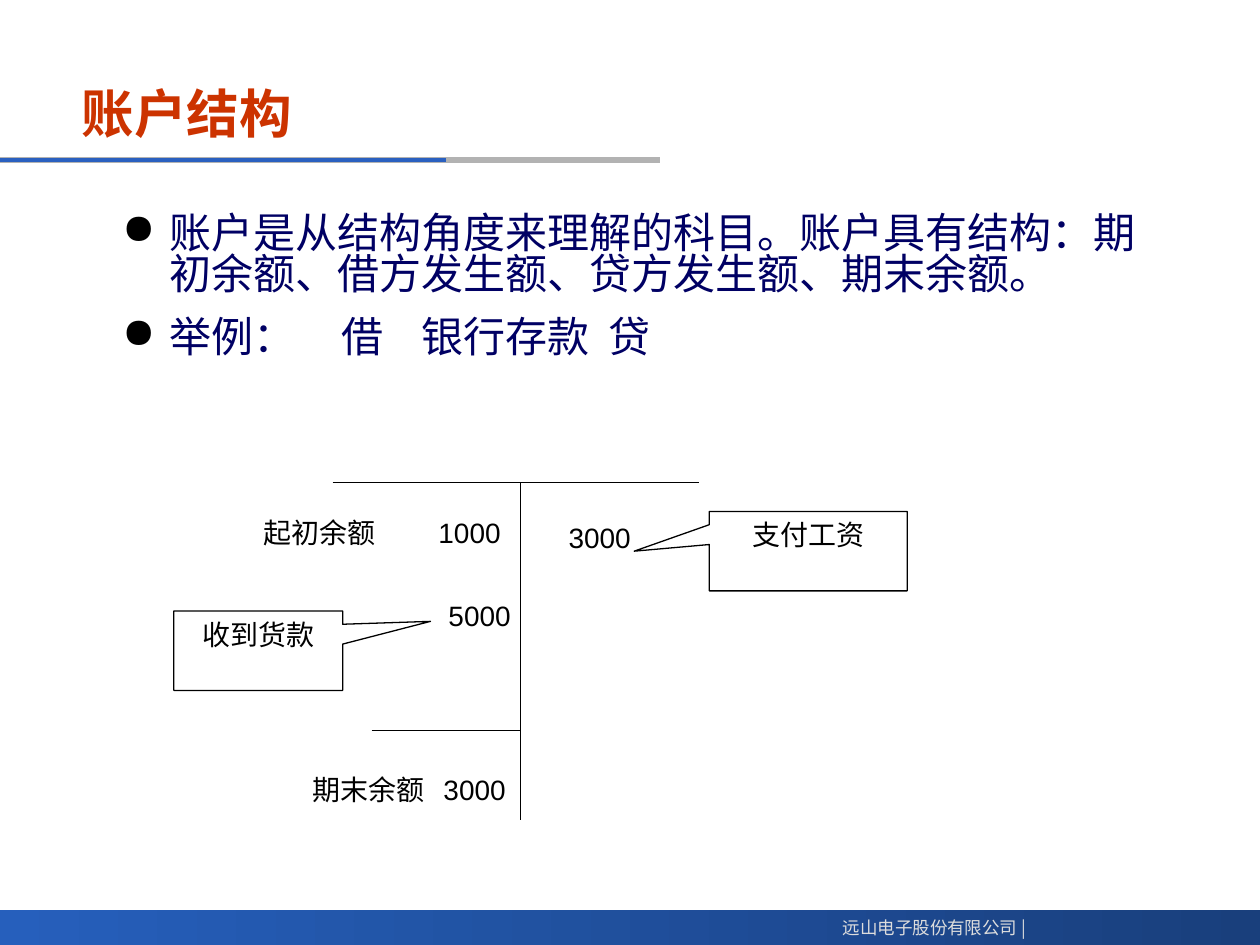
from dataclasses import dataclass

from lxml.etree import SubElement
from pptx import Presentation
from pptx.dml.color import RGBColor
from pptx.enum.shapes import MSO_CONNECTOR as Connector, MSO_SHAPE as Shape
from pptx.enum.text import MSO_ANCHOR as Anchor, PP_ALIGN as Align
from pptx.oxml.ns import qn
from pptx.util import Inches, Pt


@dataclass(frozen=True)
class Theme:
    latin: str = "Arial"
    chinese: str = "Noto Sans CJK SC"
    title: str = "CC3300"
    body: str = "000064"
    ink: str = "000000"
    paper: str = "FFFFFF"
    footer: str = "DDDDDD"
    bar_dark: str = "193F7C"
    bar_light: str = "265FBC"
    rule_blue: str = "2A60C0"
    rule_grey: str = "B2B2B2"
    title_size: int = 30
    body_size: int = 24
    entry_size: int = 16
    footer_size: int = 10
    hairline: float = 0.75


COLUMNS, ROWS = 100, 75


class AccountSlide:
    """Places elements on a grid of 100 columns by 75 rows."""

    def __init__(self, theme):
        self.theme = theme
        self.deck = Presentation()
        self.deck.slide_width, self.deck.slide_height = Inches(10), Inches(7.5)
        self.slide = self.deck.slides.add_slide(self.deck.slide_layouts[5])
        self.shapes = self.slide.shapes

    def col(self, count):
        return round(self.deck.slide_width * count / COLUMNS)

    def row(self, count):
        return round(self.deck.slide_height * count / ROWS)

    def box(self, left, top, width, height):
        return self.col(left), self.row(top), self.col(width), self.row(height)

    def add_text(self, paragraph, text, size, color, bold=False, font=None, **layout):
        for name, value in layout.items():
            setattr(paragraph, name, value)
        run = paragraph.add_run()
        run.text = text
        style = {"size": Pt(size), "bold": bold, "name": font or self.theme.latin}
        for name, value in style.items():
            setattr(run.font, name, value)
        run.font.color.rgb = RGBColor.from_string(color)

    def tabs(self, paragraph, stops):
        """Set left tab stops, in columns from the edge of the text."""
        tab_list = SubElement(paragraph._p.get_or_add_pPr(), qn("a:tabLst"))
        for stop in stops:
            SubElement(tab_list, qn("a:tab"), pos=str(self.col(stop)), algn="l")

    def bullet(self, paragraph):
        props = paragraph._p.get_or_add_pPr()
        props.set("marL", str(self.col(3.8)))
        props.set("indent", str(-self.col(3.8)))
        color = SubElement(props, qn("a:buClr"))
        SubElement(color, qn("a:srgbClr"), val=self.theme.ink)
        SubElement(props, qn("a:buChar"), char="●")

    def title(self, text, *place):
        title = self.shapes.title
        title.left, title.top, title.width, title.height = self.box(*place)
        title.text_frame.vertical_anchor = Anchor.MIDDLE
        self.add_text(title.text_frame.paragraphs[0], text, self.theme.title_size,
                      self.theme.title, bold=True, alignment=Align.LEFT)

    def points(self, items, *place):
        frame = self.shapes.add_textbox(*self.box(*place)).text_frame
        frame.word_wrap = True
        for index, (text, stops) in enumerate(items):
            paragraph = frame.add_paragraph() if index else frame.paragraphs[0]
            self.add_text(paragraph, text, self.theme.body_size, self.theme.body,
                          space_before=Pt(6), space_after=Pt(6), line_spacing=0.82)
            self.bullet(paragraph)
            if stops:
                self.tabs(paragraph, stops)

    def line(self, start, end, color=None, width=None):
        line = self.shapes.add_connector(
            Connector.STRAIGHT, self.col(start[0]), self.row(start[1]),
            self.col(end[0]), self.row(end[1]))
        line.line.color.rgb = RGBColor.from_string(color or self.theme.ink)
        line.line.width = Pt(width or self.theme.hairline)
        SubElement(line._element.spPr, qn("a:effectLst"))

    def panel(self, kind, place):
        panel = self.shapes.add_shape(kind, *self.box(*place))
        panel.shadow.inherit = False
        panel.fill.solid()
        panel.fill.fore_color.rgb = RGBColor.from_string(self.theme.paper)
        panel.line.fill.background()
        return panel

    def entry(self, text, *place, stops=()):
        """Add a ledger entry: centred, or set out on tab stops."""
        frame = self.panel(Shape.RECTANGLE, place).text_frame
        frame.word_wrap = True
        frame.vertical_anchor = Anchor.MIDDLE
        frame.margin_left = frame.margin_right = 0
        paragraph = frame.paragraphs[0]
        self.add_text(paragraph, text, self.theme.entry_size, self.theme.ink,
                      alignment=Align.LEFT if stops else Align.CENTER,
                      space_before=Pt(4))
        if stops:
            self.tabs(paragraph, stops)

    def callout(self, text, tip, *place):
        callout = self.panel(Shape.RECTANGULAR_CALLOUT, place)
        callout.adjustments[0], callout.adjustments[1] = tip
        callout.line.color.rgb = RGBColor.from_string(self.theme.ink)
        callout.line.width = Pt(self.theme.hairline)
        callout.text_frame.vertical_anchor = Anchor.TOP
        self.add_text(callout.text_frame.paragraphs[0], text, self.theme.entry_size,
                      self.theme.ink, alignment=Align.CENTER, space_before=Pt(4))

    def footer(self, text, bar_place, text_place):
        bar = self.panel(Shape.RECTANGLE, bar_place)
        bar.fill.gradient()
        bar.fill.gradient_angle = 180
        colors = (self.theme.bar_dark, self.theme.bar_light)
        for stop, position, color in zip(bar.fill.gradient_stops, (0, 1), colors):
            stop.position = position
            stop.color.rgb = RGBColor.from_string(color)
        frame = self.shapes.add_textbox(*self.box(*text_place)).text_frame
        frame.word_wrap = False
        self.add_text(frame.paragraphs[0], text, self.theme.footer_size,
                      self.theme.footer, font=self.theme.chinese, alignment=Align.RIGHT)


def main():
    theme = Theme()
    page = AccountSlide(theme)
    page.footer("远山电子股份有限公司 |", (0, 72.2, 100, 2.8), (65.3, 72.3, 17.1, 2.7))
    page.line((0, 12.7), (52.4, 12.7), theme.rule_grey, 3)
    page.line((0, 12.7), (35.4, 12.7), theme.rule_blue, 2.25)
    page.title("账户结构", 5.5, 5.6, 69.2, 6.7)
    page.points([
        ("账户是从结构角度来理解的科目。账户具有结构：期初余额、借方发生额、贷方发生额、期末余额。", ()),
        ("举例：\t借\t银行存款\t贷", (17.4, 23.8, 38.6)),
    ], 8.7, 16.6, 83.1, 52)

    account_top, account_axis = 38.3, 41.3
    page.line((26.4, account_top), (55.5, account_top))
    page.line((account_axis, account_top), (account_axis, 65.1))
    page.entry("\t起初余额\t1000", 17.7, 39.1, 22.5, 6.3, stops=(3.2, 17.1))
    page.entry("\t5000", 29.5, 46.9, 11.4, 3.9, stops=(6.1,))
    page.entry("3000", 42.1, 39.9, 11, 5.5)
    page.line((29.5, 58), (account_axis, 58))
    page.entry("\t期末余额\t3000", 20.9, 61.1, 19.7, 3.1, stops=(3.9, 14.3))
    page.callout("支付工资", (-0.88, 0), 56.3, 40.6, 15.7, 6.3)
    page.callout("收到货款", (1.02, -0.37), 13.8, 48.5, 13.4, 6.3)
    page.deck.save("out.pptx")


if __name__ == "__main__":
    main()
